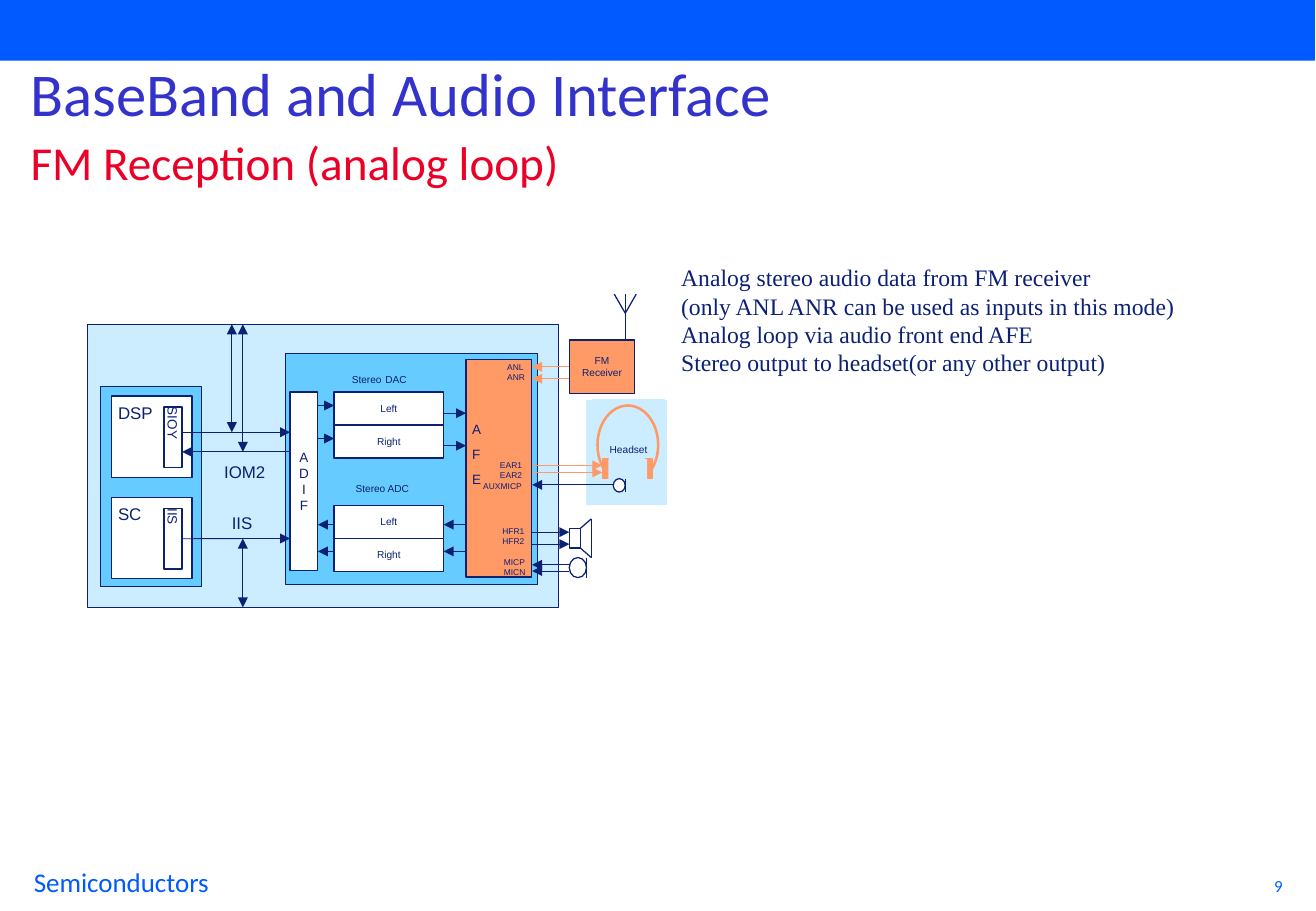
from dataclasses import dataclass

import pptx
import pptx.dml.color
import pptx.enum.shapes
import pptx.enum.text
import pptx.oxml.ns
import pptx.util
from lxml import etree

Cm = pptx.util.Cm
Pt = pptx.util.Pt
RGBColor = pptx.dml.color.RGBColor
RECT = pptx.enum.shapes.MSO_SHAPE.RECTANGLE
OVAL = pptx.enum.shapes.MSO_SHAPE.OVAL
LEFT, CENTER, RIGHT = (pptx.enum.text.PP_ALIGN.LEFT, pptx.enum.text.PP_ALIGN.CENTER,
                       pptx.enum.text.PP_ALIGN.RIGHT)
MIDDLE, TOP = pptx.enum.text.MSO_ANCHOR.MIDDLE, pptx.enum.text.MSO_ANCHOR.TOP

BRAND_BLUE = RGBColor(0x00, 0x5A, 0xFF)
TITLE_BLUE = RGBColor(0x33, 0x33, 0xCC)
RED = RGBColor(0xEB, 0x01, 0x28)
NAVY = RGBColor(0x0C, 0x20, 0x74)
SKY = RGBColor(0x66, 0xCC, 0xFF)
PALE = RGBColor(0xCC, 0xEC, 0xFF)
ORANGE = RGBColor(0xFF, 0x99, 0x66)
WHITE = RGBColor(0xFF, 0xFF, 0xFF)


@dataclass
class Box:
    """An area of the slide, in centimetres."""
    x: float
    y: float
    w: float
    h: float

    def inner(self, x, y, w, h):
        return Box(self.x + x, self.y + y, w, h)

    def lengths(self):
        return Cm(self.x), Cm(self.y), Cm(self.w), Cm(self.h)


def write(frame, lines, size, color=NAVY, font="Arial", align=LEFT, before=0, spacing=None):
    """Fill a frame; each line is a string or a list of (text, size) runs."""
    for number, line in enumerate(lines):
        paragraph = frame.add_paragraph() if number else frame.paragraphs[0]
        paragraph.alignment = align
        if number and before:
            paragraph.space_before = Pt(before)
        if spacing:
            paragraph.line_spacing = spacing
        for text, run_size in [(line, size)] if isinstance(line, str) else line:
            run = paragraph.add_run()
            run.text = text
            run.font.size = Pt(run_size)
            run.font.name = font
            run.font.color.rgb = color


def add_text(slide, box, lines, size, inset=True, **style):
    frame = slide.shapes.add_textbox(*box.lengths()).text_frame
    frame.word_wrap = True
    if not inset:
        frame.margin_left = frame.margin_right = frame.margin_top = frame.margin_bottom = 0
    write(frame, lines, size, **style)


def add_block(slide, box, fill=WHITE, line=NAVY, width=0.75, kind=RECT, lines=(), size=6,
              align=CENTER, anchor=MIDDLE, margins=(0, 0), vertical=False):
    block = slide.shapes.add_shape(kind, *box.lengths())
    block.shadow.inherit = False
    if fill is None:
        block.fill.background()
    else:
        block.fill.solid()
        block.fill.fore_color.rgb = fill
    if line is None:
        block.line.fill.background()
    else:
        block.line.color.rgb = line
        block.line.width = Pt(width)
    if lines:
        frame = block.text_frame
        frame.word_wrap = align == LEFT
        frame.vertical_anchor = anchor
        frame.margin_left, frame.margin_top = map(Cm, margins)
        frame.margin_right = frame.margin_bottom = 0
        write(frame, lines, size, align=align)
        if vertical:
            body = block.element.find(".//" + pptx.oxml.ns.qn("a:bodyPr"))
            body.set("vert", "eaVert")
    return block


def add_line(slide, box, start, end, color=NAVY, width=0.75, ends=()):
    """Draw a line between two points of the box; ends lists headEnd and tailEnd arrows."""
    connector = slide.shapes.add_connector(
        pptx.enum.shapes.MSO_CONNECTOR.STRAIGHT,
        Cm(box.x + start[0]), Cm(box.y + start[1]), Cm(box.x + end[0]), Cm(box.y + end[1]))
    connector.line.color.rgb = color
    connector.line.width = Pt(width)
    qn = pptx.oxml.ns.qn
    for tag in ends:
        etree.SubElement(connector.line._get_or_add_ln(), qn("a:" + tag)).set("type", "triangle")
    etree.SubElement(connector.element.spPr, qn("a:effectLst"))
    return connector


def add_arrow(slide, box, start, end, color=NAVY, both=False):
    ends = ("headEnd", "tailEnd") if both else ("tailEnd",)
    return add_line(slide, box, start, end, color, 0.5, ends)


def add_header(slide, box):
    add_block(slide, box.inner(0, 0, box.w, 1.27), BRAND_BLUE, None)
    add_text(slide, box.inner(0.64, 1.27, 22.07, 1.45), ["BaseBand and Audio Interface"], 36,
             inset=False, color=TITLE_BLUE, font="Calibri", spacing=0.95)
    add_text(slide, box.inner(0.64, 2.79, 23.5, 1.45), ["FM Reception (analog loop)"], 28,
             inset=False, color=RED, font="Calibri")


def add_footer(slide, box):
    add_text(slide, box.inner(0, 0, 12.37, 0.69), ["Semiconductors"], 16,
             color=BRAND_BLUE, font="Calibri")
    add_text(slide, box.inner(box.w - 5.74, 0.2, 5.74, 0.86), ["9"], 10,
             color=BRAND_BLUE, font="Calibri", align=RIGHT)


def add_explanation(slide, box):
    add_text(slide, box, ["Analog stereo audio data from FM receiver",
                          "(only ANL ANR can be used as inputs in this mode)",
                          "Analog loop via audio front end AFE",
                          "Stereo output to headset(or any other output)"],
             14, font="Times New Roman")


def add_processors(slide, box):
    """Draw DSP and SC and return the IIS port."""
    add_block(slide, box, SKY)
    for row, (name, port_name, fill) in enumerate([("DSP", "SIOY", WHITE), ("SC", "IIS", None)]):
        top = 2.12 * row
        add_block(slide, box.inner(0.23, 0.2 + top, 1.68, 1.7), lines=[name], size=10,
                  align=LEFT, anchor=TOP, margins=(0.13, 0.13))
        port = add_block(slide, box.inner(1.32, 0.43 + top, 0.38, 1.27), fill,
                         lines=[port_name], size=8, vertical=True)
    return port


def add_codec(slide, box):
    add_block(slide, box, SKY)
    add_block(slide, box.inner(3.78, 0.13, 1.37, 4.55), ORANGE)
    add_block(slide, box.inner(0.1, 0.81, 0.58, 3.73), lines="ADIF", size=8)
    adif_edge, channel_left, channel_right, afe_edge = 0.68, 1.02, 3.31, 3.78
    for top, adif_rows, afe_rows, to_afe in [(0.81, (1.09, 1.78), (1.25, 1.93), True),
                                             (3.18, (3.58, 4.14), (3.58, 4.14), False)]:
        for row, channel in enumerate(["Left", "Right"]):
            add_block(slide, box.inner(channel_left, top + 0.69 * row, 2.29, 0.69),
                      lines=[channel])
            for y, start, end in [(adif_rows[row], adif_edge, channel_left),
                                  (afe_rows[row], channel_right, afe_edge)]:
                if not to_afe:
                    start, end = end, start
                add_arrow(slide, box, (start, y), (end, y))
    add_text(slide, box.inner(1.14, 0.23, 2.06, 0.61), [[("Stereo", 6), (" ", 8), ("DAC", 6)]], 6)
    add_text(slide, box.inner(1.22, 2.57, 1.73, 0.51), ["Stereo ADC"], 6)
    add_text(slide, box.inner(3.66, 1.3, 1.04, 1.63), "AFE", 8, before=5)
    for x, y, width, pins in [(4.39, 0.05, 0.95, ["ANL", "ANR"]),
                              (4.24, 2.11, 1.04, ["EAR1", "EAR2"]),
                              (3.89, 2.54, 1.55, ["AUXMICP"]),
                              (4.29, 3.48, 1.17, ["HFR1", "HFR2"]),
                              (4.32, 4.14, 1.14, ["MICP", "MICN"])]:
        add_text(slide, box.inner(x, y, width, 0.34 * len(pins)), pins, 5)


def add_chip(slide, box):
    add_block(slide, box, PALE)
    iis_port = add_processors(slide, box.inner(0.28, 1.3, 2.11, 4.19))
    add_codec(slide, box.inner(4.14, 0.61, 5.28, 4.83))
    port_x, adif_x, to_adif_y, from_adif_y, iis_y = 1.98, 4.24, 2.26, 2.67, 4.48
    add_arrow(slide, box, (port_x, to_adif_y), (adif_x, to_adif_y))
    add_arrow(slide, box, (adif_x, from_adif_y), (port_x, from_adif_y))
    add_arrow(slide, box, (port_x, iis_y), (adif_x, iis_y)).begin_connect(iis_port, 3)
    for x, start, end in [(3.02, to_adif_y, 0), (3.25, from_adif_y, 0), (3.25, box.h, iis_y)]:
        add_arrow(slide, box, (x, start), (x, end), both=True)
    add_text(slide, box.inner(2.61, 2.75, 1.52, 0.69), ["IOM2"], 10)
    add_text(slide, box.inner(2.77, 3.81, 1.14, 0.69), ["IIS"], 10)


def add_microphone(slide, box):
    add_block(slide, box, kind=OVAL)
    add_line(slide, box, (box.w, 0), (box.w, box.h))


def add_fm_receiver(slide, box):
    """The box starts at the chip's pins and at the aerial's tip."""
    receiver = add_block(slide, box.inner(0.78, 0.96, 1.37, 1.12), ORANGE,
                         lines=["FM", "Receiver"])
    for start, end in [((1.95, 0.96), (1.95, 0)), ((1.72, 0), (1.95, 0.4)),
                       ((1.95, 0.4), (2.18, 0))]:
        add_line(slide, box, start, end)
    add_arrow(slide, box, (0.78, 1.52), (0, 1.52), ORANGE).begin_connect(receiver, 1)
    add_arrow(slide, box, (0.78, 1.77), (0, 1.77), ORANGE)


def add_headset(slide, box):
    add_block(slide, box.inner(1.11, 0, 1.73, 2.21), PALE, WHITE)
    add_block(slide, box.inner(1.37, 0.12, 1.27, 1.65), PALE, ORANGE, 1.5, OVAL)
    add_block(slide, box.inner(1.27, 0, 1.5, 2.08), None, PALE, lines=["Headset"])
    for x in (1.47, 2.38):
        add_block(slide, box.inner(x, 1.24, 0.13, 0.41), ORANGE, ORANGE)
    for y in (1.37, 1.52):
        add_arrow(slide, box, (0, y), (1.47, y), ORANGE)
    add_block(slide, box.inner(1.6, 1.24, 0.81, 0.84), PALE, None)
    add_arrow(slide, box, (1.72, 1.78), (0, 1.78))
    add_microphone(slide, box.inner(1.7, 1.65, 0.25, 0.28))


def add_speaker_and_microphone(slide, box):
    for y in (0.28, 0.53):
        add_arrow(slide, box, (0, y), (0.78, y))
    add_block(slide, box.inner(0.78, 0.2, 0.23, 0.41))
    for start, end in [((1.01, 0.2), (1.24, 0)), ((1.01, 0.61), (1.24, 0.81)),
                       ((1.24, 0), (1.24, 0.81))]:
        add_line(slide, box, start, end)
    for x, y in [(0.91, 0.96), (0.78, 1.09)]:
        add_arrow(slide, box, (x, y), (0, y))
    add_microphone(slide, box.inner(0.78, 0.81, 0.36, 0.42))


def main():
    presentation = pptx.Presentation()
    presentation.slide_width, presentation.slide_height = Cm(27.53), Cm(19.05)
    slide = presentation.slides.add_slide(presentation.slide_layouts[6])
    add_header(slide, Box(0, 0, 27.51, 4.24))
    add_footer(slide, Box(0.46, 17.98, 26.62, 1.06))
    add_chip(slide, Box(1.83, 6.78, 9.86, 5.92))
    add_fm_receiver(slide, Box(11.13, 6.15, 2.18, 2.08))
    add_headset(slide, Box(11.13, 8.36, 2.84, 2.21))
    add_speaker_and_microphone(slide, Box(11.13, 10.85, 1.24, 1.23))
    add_explanation(slide, Box(14, 5.38, 12.17, 4.37))
    presentation.save("out.pptx")


if __name__ == "__main__":
    main()
